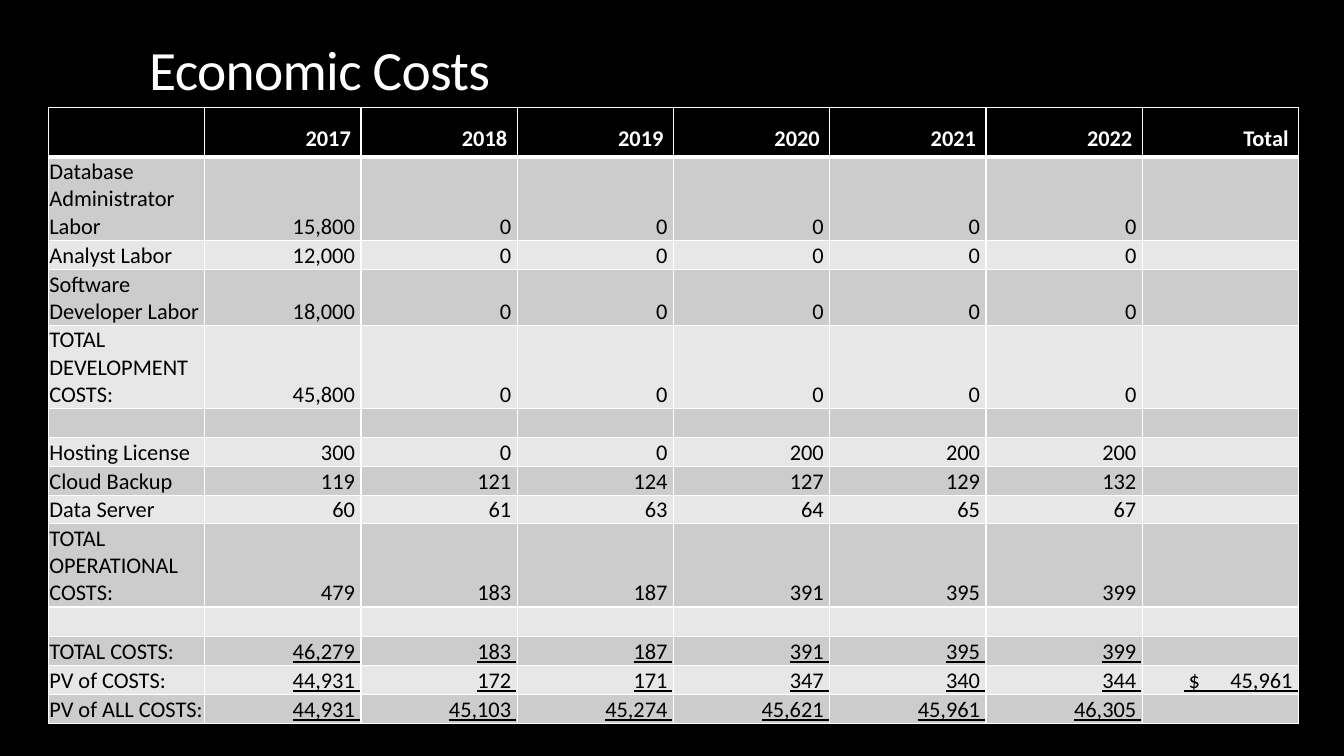
from lxml import etree
from pptx import Presentation
from pptx.dml.color import RGBColor
from pptx.enum.text import MSO_ANCHOR, PP_ALIGN
from pptx.oxml.ns import qn
from pptx.util import Inches, Pt

LEFT, RIGHT = PP_ALIGN.LEFT, PP_ALIGN.RIGHT
BOTTOM = MSO_ANCHOR.BOTTOM
COLORS = {"black": "000000", "white": "FFFFFF", "dark": "CCCCCC", "light": "E7E7E7"}
FONT = "Calibri"
SIZE = 16

TITLE = "Economic Costs"
HEADER = ["", "2017", "2018", "2019", "2020", "2021", "2022", "Total"]
HEADER_HEIGHT = 0.49
# Label, yearly values, total, row height
COSTS = [
    ("Database Administrator Labor", [15800, 0, 0, 0, 0, 0], "", 0.82),
    ("Analyst Labor", [12000, 0, 0, 0, 0, 0], "", 0.29),
    ("Software Developer Labor", [18000, 0, 0, 0, 0, 0], "", 0.55),
    ("TOTAL DEVELOPMENT COSTS:", [45800, 0, 0, 0, 0, 0], "", 0.82),
    ("", [], "", 0.29),
    ("Hosting License", [300, 0, 0, 200, 200, 200], "", 0.28),
    ("Cloud Backup", [119, 121, 124, 127, 129, 132], "", 0.29),
    ("Data Server", [60, 61, 63, 64, 65, 67], "", 0.28),
    ("TOTAL OPERATIONAL COSTS:", [479, 183, 187, 391, 395, 399], "", 0.82),
    ("", [], "", 0.29),
    ("TOTAL COSTS:", [46279, 183, 187, 391, 395, 399], "", 0.29),
    ("PV of COSTS:", [44931, 172, 171, 347, 340, 344], " $      45,961 ", 0.29),
    ("PV of ALL COSTS:", [44931, 45103, 45274, 45621, 45961, 46305], "", 0.29),
]
UNDERLINED = {"TOTAL COSTS:", "PV of COSTS:", "PV of ALL COSTS:"}
TABLE_LEFT, TABLE_TOP, COLUMN_WIDTH = 0.48, 1.07, 1.55


def write(frame, text, size=SIZE, color="black", bold=False, underline=False,
          align=LEFT, spacing=None):
    """Put one formatted paragraph into a text frame."""
    para = frame.paragraphs[0]
    para.alignment = align
    if not text:
        para._p.get_or_add_endParaRPr().set("sz", str(size * 100))
        return
    span = para.add_run()
    span.text = text
    span.font.name = FONT
    span.font.size = Pt(size)
    span.font.bold = bold
    span.font.underline = underline
    span.font.color.rgb = RGBColor.from_string(COLORS[color])
    if spacing is not None:
        span._r.get_or_add_rPr().set("spc", str(round(spacing * 100)))


def set_borders(cell, top=1, bottom=1):
    """Draw white lines round a cell, with widths in points."""
    properties = cell._tc.get_or_add_tcPr()
    for side, width in (("L", 1), ("R", 1), ("T", top), ("B", bottom)):
        line = etree.SubElement(properties, qn(f"a:ln{side}"), w=str(Pt(width)))
        fill = etree.SubElement(line, qn("a:solidFill"))
        etree.SubElement(fill, qn("a:srgbClr"), val=COLORS["white"])


def style_cell(cell, fill, top=1, bottom=1):
    """Give a cell its borders, fill and bottom anchor."""
    set_borders(cell, top, bottom)
    cell.fill.solid()
    cell.fill.fore_color.rgb = RGBColor.from_string(COLORS[fill])
    cell.vertical_anchor = BOTTOM


def add_title(page):
    """Place the title placeholder."""
    box = page.shapes.title
    box.left, box.top = Inches(1.38), Inches(0.4)
    box.width, box.height = Inches(10.6), Inches(0.67)
    frame = box.text_frame
    frame.word_wrap = True
    frame.vertical_anchor = BOTTOM
    write(frame, TITLE, size=39.6, color="white", spacing=-0.5)
    frame.paragraphs[0].line_spacing = 0.9


def add_costs(page):
    """Build the cost table."""
    heights = [HEADER_HEIGHT] + [row[-1] for row in COSTS]
    table = page.shapes.add_table(
        len(heights), len(HEADER), Inches(TABLE_LEFT), Inches(TABLE_TOP),
        Inches(COLUMN_WIDTH * len(HEADER)), Inches(sum(heights))).table
    table.horz_banding = False
    for row, height in zip(table.rows, heights):
        row.height = Inches(height)
    for column, text in enumerate(HEADER):
        cell = table.cell(0, column)
        style_cell(cell, "black", bottom=3)
        write(cell.text_frame, text, color="white", bold=True, align=RIGHT)
    for number, (label, values, total, _) in enumerate(COSTS, start=1):
        years = [f"{value:,} " for value in values] or [""] * (len(HEADER) - 2)
        for column, text in enumerate([label, *years, total]):
            cell = table.cell(number, column)
            cell.margin_left = cell.margin_right = cell.margin_top = Inches(0.01)
            cell.margin_bottom = 0
            style_cell(cell, "dark" if number % 2 else "light",
                       top=3 if number == 1 else 1)
            write(cell.text_frame, text, align=RIGHT if column else LEFT,
                  underline=column > 0 and label in UNDERLINED)


deck = Presentation()
deck.slide_width, deck.slide_height = Inches(13.33), Inches(7.5)
page = deck.slides.add_slide(deck.slide_layouts[5])
page.background.fill.solid()
page.background.fill.fore_color.rgb = RGBColor.from_string(COLORS["black"])
add_title(page)
add_costs(page)
deck.save("out.pptx")
